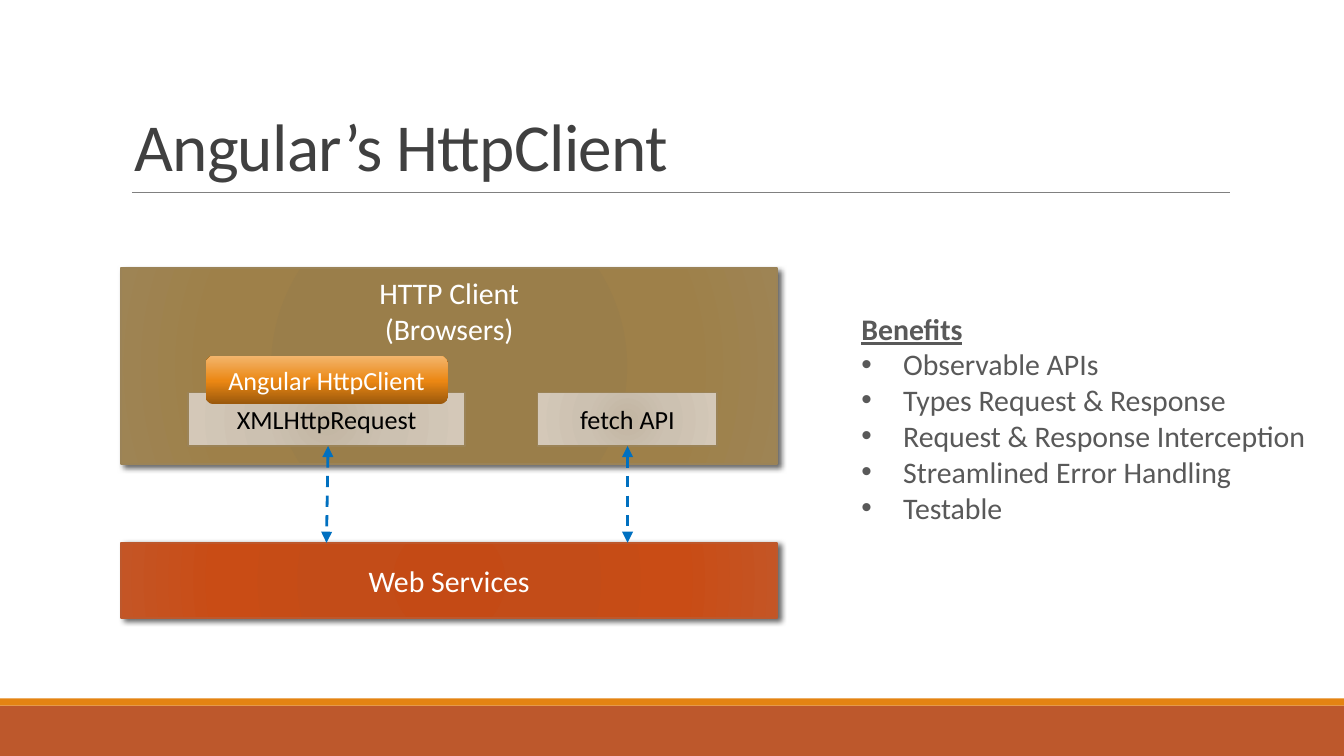
from lxml import etree
from pptx import Presentation
from pptx.dml.color import RGBColor
from pptx.enum.dml import MSO_LINE
from pptx.enum.shapes import MSO_CONNECTOR, MSO_SHAPE
from pptx.enum.text import MSO_ANCHOR, MSO_AUTO_SIZE, PP_ALIGN
from pptx.oxml import parse_xml
from pptx.util import Cm, Pt

RECT, ROUND = MSO_SHAPE.RECTANGLE, MSO_SHAPE.ROUNDED_RECTANGLE
TOP, MID, BASE = MSO_ANCHOR.TOP, MSO_ANCHOR.MIDDLE, MSO_ANCHOR.BOTTOM
LEFT, CENTER = PP_ALIGN.LEFT, PP_ALIGN.CENTER
DASH = MSO_LINE.DASH
FIT = MSO_AUTO_SIZE.SHAPE_TO_FIT_TEXT
STRAIGHT = MSO_CONNECTOR.STRAIGHT
NS = "http://schemas.openxmlformats.org/drawingml/2006/main"
RADIAL = '<a:path path="circle"><a:fillToRect l="100000" t="100000" r="100000" b="100000"/></a:path>'
LINEAR = '<a:lin ang="16200000" scaled="0"/>'
SHADOW = (f'<a:outerShdw xmlns:a="{NS}" blurRad="38100" dist="25400" dir="2700000" rotWithShape="0">'
          '<a:srgbClr val="000000"><a:alpha val="60000"/></a:srgbClr></a:outerShdw>')


def color(code):
    return RGBColor.from_string(code)


def write(par, text, code, **form):
    run = par.add_run()
    run.text = text
    run.font.color.rgb = color(code)
    for key, val in {"name": "Calibri", **form}.items():
        setattr(run.font, key, val)
    return run


prs = Presentation()
prs.slide_width, prs.slide_height = Cm(25.4), Cm(14.29)
slide = prs.slides.add_slide(prs.slide_layouts[6])
shapes = slide.shapes

for top, high, code in [(13.34, 0.95, "BD582C"), (13.2, 0.14, "E48312")]:
    band = shapes.add_shape(RECT, 0, Cm(top), prs.slide_width, Cm(high))
    band.shadow.inherit = False
    band.fill.solid()
    band.fill.fore_color.rgb = color(code)
    band.line.fill.background()

title = shapes.add_textbox(Cm(2.29), Cm(0.61), Cm(20.95), Cm(3.02)).text_frame
title.word_wrap, title.vertical_anchor = True, BASE
par = title.paragraphs[0]
par.line_spacing = 0.85
run = write(par, "Angular’s HttpClient", "404040", size=Pt(36))
run.font._element.set("spc", "-40")

olive = [(0, "9A7D48"), (34, "9A7E4A"), (70, "9E8049"), (100, "9E8454")]
rust = [(0, "C44A15"), (34, "C34C18"), (70, "C94C15"), (100, "C45525")]
sand = [(0, "C2B5A2"), (45, "CCC1B1"), (100, "D4C8B8")]
amber = [(0, "99580C"), (48, "EB8713"), (100, "F3B56C")]
boxes = [
    (["HTTP Client", "(Browsers)"], RECT, (2.29, 5.07, 12.4, 3.71), olive, "9B8357", 16, "FFFFFF", TOP),
    (["Web Services"], RECT, (2.29, 10.26, 12.4, 1.42), rust, "BD582C", 16, "FFFFFF", MID),
    (["fetch API"], RECT, (10.16, 7.42, 3.4, 1.02), sand, "9B8357", 14, "000000", MID),
    (["XMLHttpRequest"], RECT, (3.56, 7.42, 5.23, 1.02), sand, "9B8357", 14, "000000", MID),
    (["Angular HttpClient"], ROUND, (3.89, 6.73, 4.57, 0.91), amber, None, 14, "FFFFFF", MID),
]
for lines, kind, place, stops, edge, size, ink, anchor in boxes:
    box = shapes.add_shape(kind, *map(Cm, place))
    box.shadow.inherit = False
    if edge:
        box.line.color.rgb = color(edge)
        box.line.width = Pt(1)
    else:
        box.line.fill.background()
    marks = "".join(f'<a:gs pos="{pos * 1000}"><a:srgbClr val="{code}"/></a:gs>' for pos, code in stops)
    style = RADIAL if kind == RECT else LINEAR
    props = box._element.spPr
    props.insert(2, parse_xml(f'<a:gradFill xmlns:a="{NS}" rotWithShape="1"><a:gsLst>{marks}</a:gsLst>{style}</a:gradFill>'))
    if size == 16:
        props.find(f"{{{NS}}}effectLst").append(parse_xml(SHADOW))
    frame = box.text_frame
    frame.word_wrap, frame.vertical_anchor = True, anchor
    for num, text in enumerate(lines):
        par = frame.add_paragraph() if num else frame.paragraphs[0]
        par.alignment = CENTER
        write(par, text, ink, size=Pt(size))

rule = (2.49, 3.63, 23.24, 3.63), "808080", 0.5, False
fetch = (11.86, 8.43, 11.86, 10.26), "0070C0", 1.5, True
xhr = (6.2, 8.43, 6.17, 10.26), "0070C0", 1.5, True
for ends, code, width, arrow in [rule, fetch, xhr]:
    link = shapes.add_connector(STRAIGHT, *map(Cm, ends))
    link.line.color.rgb = color(code)
    link.line.width = Pt(width)
    if arrow:
        link.line.dash_style = DASH
        for tag in ["headEnd", "tailEnd"]:
            etree.SubElement(link.line._ln, f"{{{NS}}}{tag}", type="triangle")
    etree.SubElement(link._element.spPr, f"{{{NS}}}effectLst")

perks = shapes.add_textbox(Cm(16.03), Cm(5.74), Cm(9.02), Cm(4.37)).text_frame
perks.word_wrap, perks.auto_size = False, FIT
write(perks.paragraphs[0], "Benefits", "595959", size=Pt(16), bold=True, underline=True)
for text in ["Observable APIs", "Types Request & Response", "Request & Response Interception",
             "Streamlined Error Handling", "Testable"]:
    par = perks.add_paragraph()
    par.alignment = LEFT
    write(par, text, "595959", size=Pt(16))
    props = par._p.get_or_add_pPr()
    for key, val in {"marL": Cm(0.79), "indent": -Cm(0.79)}.items():
        props.set(key, str(val))
    etree.SubElement(props, f"{{{NS}}}buFont", typeface="Arial")
    etree.SubElement(props, f"{{{NS}}}buChar", char="•")

prs.save("out.pptx")
